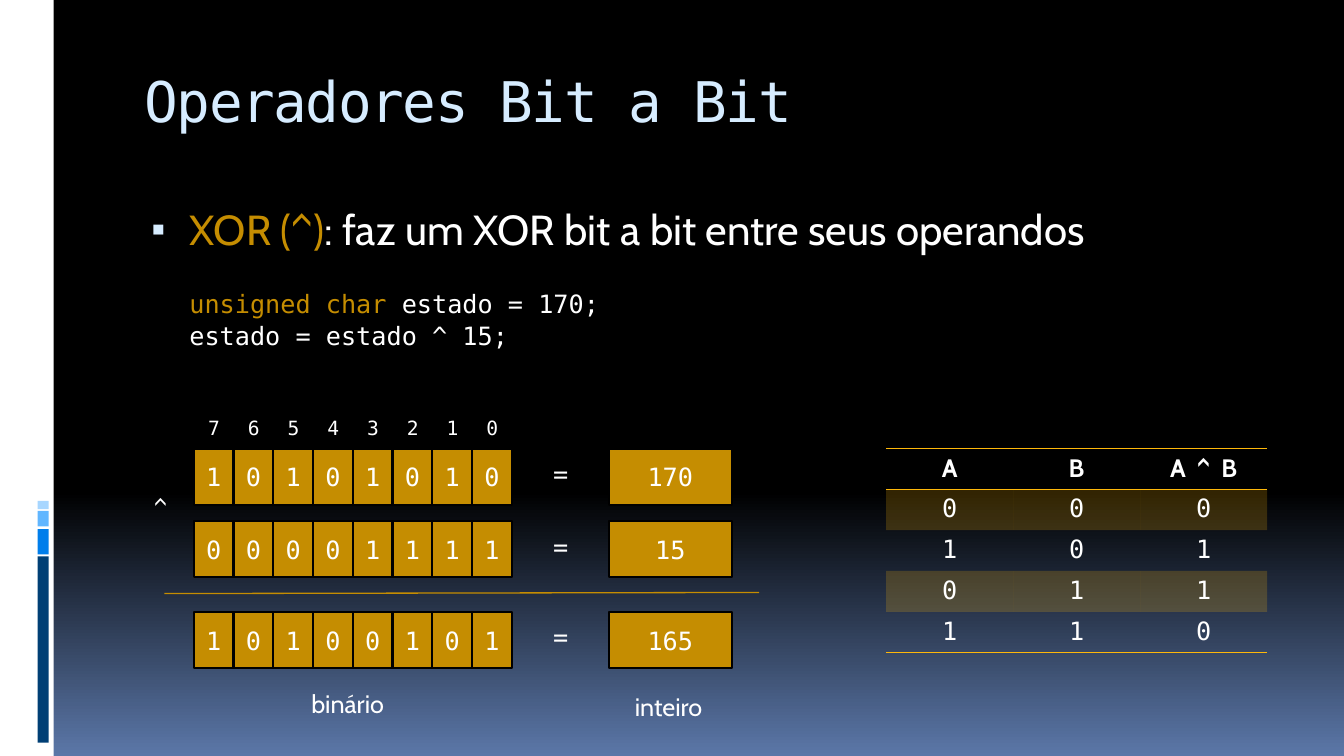
"""Build the slide on the bitwise XOR operator."""
import pptx
import pptx.dml.color
import pptx.enum.shapes
import pptx.enum.text
import pptx.oxml
import pptx.oxml.ns
import pptx.util

Pt = pptx.util.Pt
RGB = pptx.dml.color.RGBColor
SHAPE = pptx.enum.shapes.MSO_SHAPE
ALIGN = pptx.enum.text.PP_ALIGN
ANCHOR = pptx.enum.text.MSO_ANCHOR
qn = pptx.oxml.ns.qn
NS = 'xmlns:a="http://schemas.openxmlformats.org/drawingml/2006/main"'

BLACK = RGB(0x00, 0x00, 0x00)
WHITE = RGB(0xFF, 0xFF, 0xFF)
DUSK = RGB(0x5B, 0x77, 0xA8)
PALE = RGB(0xD6, 0xEC, 0xFF)
GOLD = RGB(0xC5, 0x8D, 0x01)
AMBER = RGB(0xFE, 0xB8, 0x0A)
BLUES = [RGB(0x00, 0x3F, 0x75), RGB(0x00, 0x7E, 0xEB),
         RGB(0x61, 0xB6, 0xFF), RGB(0xA7, 0xD6, 0xFF)]

MONO = {"name": "DejaVu Sans Mono", "size": Pt(18)}
SMALL = {"name": "DejaVu Sans Mono", "size": Pt(14)}
HEAD = {"name": "DejaVu Sans Mono", "size": Pt(40)}
SANS = {"name": "Cabin", "size": Pt(18)}
BOLD = {"name": "Cabin", "size": Pt(18), "bold": True}
LEAD = {"name": "Cabin", "size": Pt(30)}


def write(para, text, form, color=WHITE):
    run = para.add_run()
    run.text = text
    for key, value in form.items():
        setattr(run.font, key, value)
    run.font.color.rgb = color
    return run


def block(left, top, width, height, fill):
    shape = slide.shapes.add_shape(
        SHAPE.RECTANGLE, Pt(left), Pt(top), Pt(width), Pt(height))
    shape.shadow.inherit = False
    shape.fill.solid()
    shape.fill.fore_color.rgb = fill
    shape.line.fill.background()
    return shape


deck = pptx.Presentation()
deck.slide_width, deck.slide_height = Pt(960), Pt(540)
slide = deck.slides.add_slide(deck.slide_layouts[1])

back = slide.background.fill
back.gradient()
back.gradient_angle = 270
for stop, color, place in zip(back.gradient_stops, (BLACK, DUSK), (0.65, 1)):
    stop.color.rgb = color
    stop.position = place

block(0, 0, 38.3, 540, WHITE)
for color, top, height in zip(BLUES, (397.5, 378, 365, 357.8), (133, 18, 11, 5.8)):
    block(26.8, top, 7.9, height, color)

title, body = slide.placeholders
for holder, top, height, inset in ((title, 40.3, 72, 7), (body, 140.4, 360, 5)):
    holder.left, holder.top = Pt(96), Pt(top)
    holder.width, holder.height = Pt(816), Pt(height)
    frame = holder.text_frame
    frame.auto_size = pptx.enum.text.MSO_AUTO_SIZE.NONE
    frame.vertical_anchor = ANCHOR.TOP
    frame.margin_top = Pt(inset)
    frame.paragraphs[0].alignment = ALIGN.LEFT
    frame.paragraphs[0].space_before = Pt(0)

run = write(title.text_frame.paragraphs[0], "Operadores Bit a Bit", HEAD, PALE)
run._r.get_or_add_rPr().set("spc", "-100")

para = body.text_frame.paragraphs[0]
props = para._p.get_or_add_pPr()
props.set("marL", str(Pt(32.4)))
props.set("indent", str(-Pt(27.4)))
for mark in (f'<a:buClr {NS}><a:srgbClr val="{PALE}"/></a:buClr>',
             f'<a:buSzPct {NS} val="95000"/>',
             f'<a:buChar {NS} char="▪"/>'):
    props.append(pptx.oxml.parse_xml(mark))
write(para, "XOR (^)", LEAD, GOLD)
write(para, ": faz um XOR bit a bit entre seus operandos", LEAD)

code = slide.shapes.add_textbox(Pt(128.2), Pt(202.3), Pt(674.6), Pt(51)).text_frame
code.word_wrap = True
write(code.paragraphs[0], "unsigned char", MONO, GOLD)
write(code.paragraphs[0], " estado = 170;", MONO)
para = code.add_paragraph()
para.space_before = Pt(1)
write(para, "estado = estado ^ 15;", MONO)

LEFT, STEP = 138.4, 28.4
cells, labels = [], []
for number, top in ((170, 320.4), (15, 372.2), (165, 437)):
    for place, bit in enumerate(f"{number:08b}"):
        cells.append((bit, LEFT + place * STEP, top, STEP))
    cells.append((str(number), 434.9, top, 87.8))
    labels.append(("=", 388, top + 3.6, 24.5, MONO))
for place in range(8):
    labels.append((str(7 - place), LEFT + place * STEP + 3.2, 293.8, 22, SMALL))
labels += [("binário", 215.3, 488.2, 67, SANS),
           ("inteiro", 446.4, 490.3, 63.4, SANS),
           ("^", 103, 347.8, 23.8, SANS)]

for text, left, top, width in cells:
    cell = block(left, top, width, 40.3, GOLD)
    cell.line.color.rgb = BLACK
    cell.line.width = Pt(1.5)
    cell.text_frame.vertical_anchor = ANCHOR.MIDDLE
    para = cell.text_frame.paragraphs[0]
    para.alignment = ALIGN.CENTER
    write(para, text, MONO)

for text, left, top, width, form in labels:
    frame = slide.shapes.add_textbox(
        Pt(left), Pt(top), Pt(width), Pt(29)).text_frame
    frame.word_wrap = False
    write(frame.paragraphs[0], text, form)

rule = slide.shapes.add_connector(
    pptx.enum.shapes.MSO_CONNECTOR.STRAIGHT, Pt(117.4), Pt(424), Pt(542.2), Pt(423.2))
rule.line.color.rgb = GOLD
rule.line.width = Pt(0.94)
rule._element.spPr.append(pptx.oxml.parse_xml(f"<a:effectLst {NS}/>"))

rows = [("A", "B", "A  ^  B")]
rows += [(str(a), str(b), str(a ^ b)) for b in (0, 1) for a in (0, 1)]
table = slide.shapes.add_table(
    5, 3, Pt(633), Pt(320.2), Pt(272.1), Pt(146)).table
table.first_row = table.horz_banding = False
table._tbl.tblPr.find(qn("a:tableStyleId")).text = "{2D5ABB26-0587-4C30-8999-92F81FD0307C}"
for column in table.columns:
    column.width = Pt(90.7)
for y, row in enumerate(rows):
    table.rows[y].height = Pt(29.2)
    for x, text in enumerate(row):
        cell = table.cell(y, x)
        para = cell.text_frame.paragraphs[0]
        para.alignment = ALIGN.CENTER
        write(para, text, MONO if y else BOLD)
        props = cell._tc.get_or_add_tcPr()
        for side in {0: ("lnT", "lnB"), 4: ("lnB",)}.get(y, ()):
            props.append(pptx.oxml.parse_xml(
                f'<a:{side} {NS} w="{Pt(1)}"><a:solidFill>'
                f'<a:srgbClr val="{AMBER}"/></a:solidFill></a:{side}>'))
        if y % 2:
            cell.fill.solid()
            cell.fill.fore_color.rgb = AMBER
            tint = props.find(".//" + qn("a:srgbClr"))
            tint.append(pptx.oxml.parse_xml(f'<a:alpha {NS} val="20000"/>'))
        else:
            cell.fill.background()

deck.save("out.pptx")
